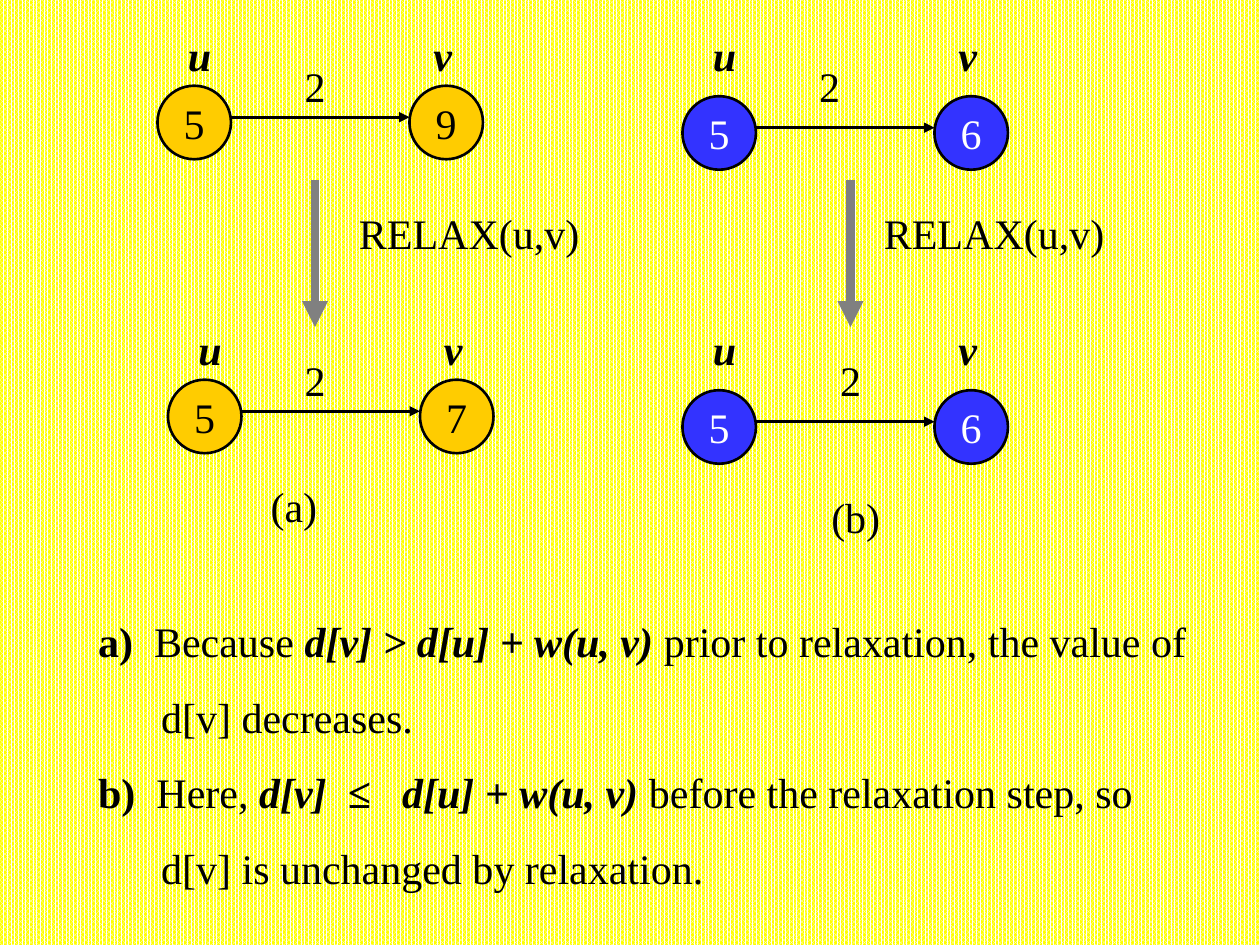
import pptx
import pptx.dml.color
import pptx.enum.dml
import pptx.enum.shapes
import pptx.enum.text
import pptx.oxml.ns
import pptx.util
from lxml import etree

Pt = pptx.util.Pt
ALIGN = pptx.enum.text.PP_ALIGN
FONT = "Times New Roman"
COLORS = {
    "black": "000000",
    "white": "FFFFFF",
    "yellow": "FFFF00",
    "amber": "FFCC00",
    "blue": "3333FF",
    "gray": "808080",
}
NODE_SIZE = 42
NODE_STEP = 144
TEXT_HEIGHT = 36
RELAX_WIDTH = 142
CAPTION_WIDTH = 44
INDENT = Pt(36)

GRAPHS = [
    (90, 49, 13, 180, "5", "9", "amber", "black"),
    (96, 217, 181, 180, "5", "7", "amber", "black"),
    (390, 55, 13, 474, "5", "6", "blue", "white"),
    (390, 223, 181, 486, "5", "6", "blue", "white"),
]
STEPS = [
    (180, 198, "(a)", 168, 271),
    (486, 498, "(b)", 489, 277),
]
EXPLANATIONS = [
    [("a)  ", True, False), ("Because ", False, False),
     ("d[v] > d[u] + w(u, v) ", True, True),
     ("prior to relaxation, the value of d[v] decreases.", False, False)],
    [("b)  ", True, False), ("Here, ", False, False),
     ("d[v]  ≤   d[u] + w(u, v)", True, True),
     (" before the relaxation step, so d[v] is unchanged by relaxation.", False, False)],
]


def rgb(name):
    return pptx.dml.color.RGBColor.from_string(COLORS[name])


def format_run(run, color="black", bold=False, italic=False):
    run.font.name = FONT
    run.font.size = Pt(24)
    run.font.bold = bold
    run.font.italic = italic
    run.font.color.rgb = rgb(color)


def set_label(shape, text, color="black", bold=False, italic=False, align=ALIGN.CENTER):
    text_frame = shape.text_frame
    text_frame.text = text
    text_frame.word_wrap = False
    text_frame.vertical_anchor = pptx.enum.text.MSO_ANCHOR.MIDDLE
    paragraph = text_frame.paragraphs[0]
    paragraph.alignment = align
    format_run(paragraph.runs[0], color, bold, italic)


def add_label(slide, text, center, top, width, **style):
    shape = slide.shapes.add_textbox(Pt(center - width / 2), Pt(top), Pt(width), Pt(TEXT_HEIGHT))
    set_label(shape, text, **style)
    shape.text_frame.auto_size = pptx.enum.text.MSO_AUTO_SIZE.SHAPE_TO_FIT_TEXT


def add_node(slide, text, left, top, fill, color):
    shape = slide.shapes.add_shape(
        pptx.enum.shapes.MSO_SHAPE.OVAL, Pt(left), Pt(top), Pt(NODE_SIZE), Pt(NODE_SIZE))
    shape.shadow.inherit = False
    shape.fill.solid()
    shape.fill.fore_color.rgb = rgb(fill)
    shape.line.color.rgb = rgb("black")
    shape.line.width = Pt(1.5)
    set_label(shape, text, color)


def add_arrow(slide, start, end, color, width):
    connector = slide.shapes.add_connector(
        pptx.enum.shapes.MSO_CONNECTOR.STRAIGHT, *(Pt(value) for value in start + end))
    connector.line.color.rgb = rgb(color)
    connector.line.width = Pt(width)
    qn = pptx.oxml.ns.qn
    etree.SubElement(connector.line._get_or_add_ln(), qn("a:tailEnd"), type="triangle")
    etree.SubElement(connector._element.spPr, qn("a:effectLst"))


def add_graph(slide, left, top, label_top, weight_center, u_value, v_value, fill, color):
    add_node(slide, u_value, left, top, fill, color)
    add_node(slide, v_value, left + NODE_STEP, top, fill, color)
    edge_y = top + 18
    add_arrow(slide, (left + NODE_SIZE, edge_y), (left + NODE_STEP, edge_y), "black", 1.5)
    add_label(slide, "u", left + 24, label_top, 28, bold=True, italic=True)
    add_label(slide, "v", left + 163, label_top, 26, bold=True, italic=True)
    add_label(slide, "2", weight_center, label_top + 18, 27)


def add_step(slide, arrow_x, text_left, caption, caption_center, caption_top):
    add_arrow(slide, (arrow_x, 103), (arrow_x, 187), "gray", 5)
    add_label(slide, "RELAX(u,v)", text_left + RELAX_WIDTH / 2, 115, RELAX_WIDTH, align=ALIGN.LEFT)
    add_label(slide, caption, caption_center, caption_top, CAPTION_WIDTH)


def add_explanations(slide):
    shape = slide.shapes.add_textbox(Pt(49), Pt(335.5), Pt(645), Pt(176.5))
    text_frame = shape.text_frame
    text_frame.word_wrap = True
    text_frame.auto_size = pptx.enum.text.MSO_AUTO_SIZE.SHAPE_TO_FIT_TEXT
    text_frame.vertical_anchor = pptx.enum.text.MSO_ANCHOR.MIDDLE
    for index, parts in enumerate(EXPLANATIONS):
        paragraph = text_frame.add_paragraph() if index else text_frame.paragraphs[0]
        paragraph.line_spacing = 1.5
        properties = paragraph._p.get_or_add_pPr()
        properties.set("marL", str(INDENT))
        properties.set("indent", str(-INDENT))
        for text, bold, italic in parts:
            run = paragraph.add_run()
            run.text = text
            format_run(run, bold=bold, italic=italic)


def set_background(slide):
    fill = slide.background.fill
    fill.patterned()
    fill.pattern = pptx.enum.dml.MSO_PATTERN.PERCENT_80
    fill.fore_color.rgb = rgb("white")
    fill.back_color.rgb = rgb("yellow")


def main():
    presentation = pptx.Presentation()
    presentation.slide_width = Pt(720)
    presentation.slide_height = Pt(540)
    slide = presentation.slides.add_slide(presentation.slide_layouts[6])
    set_background(slide)
    add_explanations(slide)
    for graph in GRAPHS:
        add_graph(slide, *graph)
    for step in STEPS:
        add_step(slide, *step)
    presentation.save("out.pptx")


if __name__ == "__main__":
    main()
